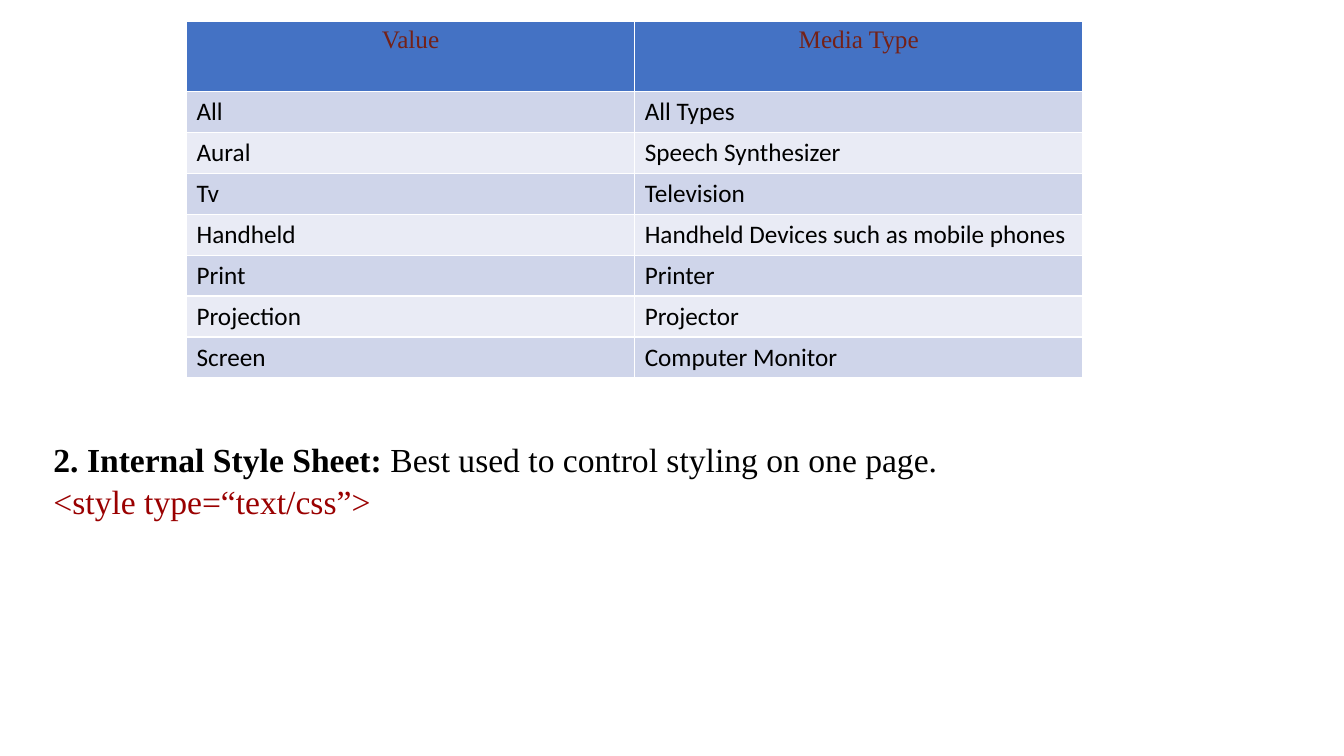
from pptx import Presentation
from pptx.dml.color import RGBColor
from pptx.enum.text import MSO_ANCHOR, MSO_AUTO_SIZE, PP_ALIGN
from pptx.oxml.xmlchemy import OxmlElement
from pptx.util import Inches, Pt


def add_run(p, text, size, font, color, bold=False):
    r = p.add_run()
    r.text = text
    r.font.size = Pt(size)
    r.font.name = font
    r.font.bold = bold
    r.font.color.rgb = RGBColor.from_string(color)


prs = Presentation()
prs.slide_width = Inches(13.33)
prs.slide_height = Inches(7.5)
s = prs.slides.add_slide(prs.slide_layouts[1])
title = s.shapes.title
title.element.getparent().remove(title.element)

body = s.placeholders[1]
body.left, body.top = Inches(0.43), Inches(0.14)
body.width, body.height = Inches(11.72), Inches(5.49)
tf = body.text_frame
tf.word_wrap = True
tf.auto_size = MSO_AUTO_SIZE.NONE
tf.vertical_anchor = MSO_ANCHOR.TOP
tf.margin_top = Inches(4.21)

lines = [
    [("2. Internal Style Sheet: ", "000000", True),
     ("Best used to control styling on one page.", "000000", False)],
    [("<style type=“text/css”>", "9A0000", False)],
]
for i, runs in enumerate(lines):
    p = tf.add_paragraph() if i else tf.paragraphs[0]
    pPr = p._p.get_or_add_pPr()
    pPr.set("marL", "0")
    pPr.set("indent", "0")
    pPr.append(OxmlElement("a:buNone"))
    p.space_before = Pt(1.7 * i)
    for text, color, bold in runs:
        add_run(p, text, 24, "Times New Roman", color, bold)

rows = [
    ("Value", "Media Type"),
    ("All", "All Types"),
    ("Aural", "Speech Synthesizer"),
    ("Tv", "Television"),
    ("Handheld", "Handheld Devices such as mobile phones"),
    ("Print", "Printer"),
    ("Projection", "Projector"),
    ("Screen", "Computer Monitor"),
]
table = s.shapes.add_table(len(rows), 2, Inches(1.85), Inches(0.21),
                           Inches(8.89), Inches(3.5)).table
for i, row in enumerate(rows):
    table.rows[i].height = Inches(0.4 if i else 0.7)
    for j, text in enumerate(row):
        cell = table.cell(i, j)
        cell.fill.solid()
        fill = ("CFD5EA" if i % 2 else "E9EBF5") if i else "4472C4"
        cell.fill.fore_color.rgb = RGBColor.from_string(fill)
        p = cell.text_frame.paragraphs[0]
        if i:
            add_run(p, text, 18, "Calibri", "000000")
        else:
            p.alignment = PP_ALIGN.CENTER
            add_run(p, text, 18, "Times New Roman", "742117")

prs.save("out.pptx")
